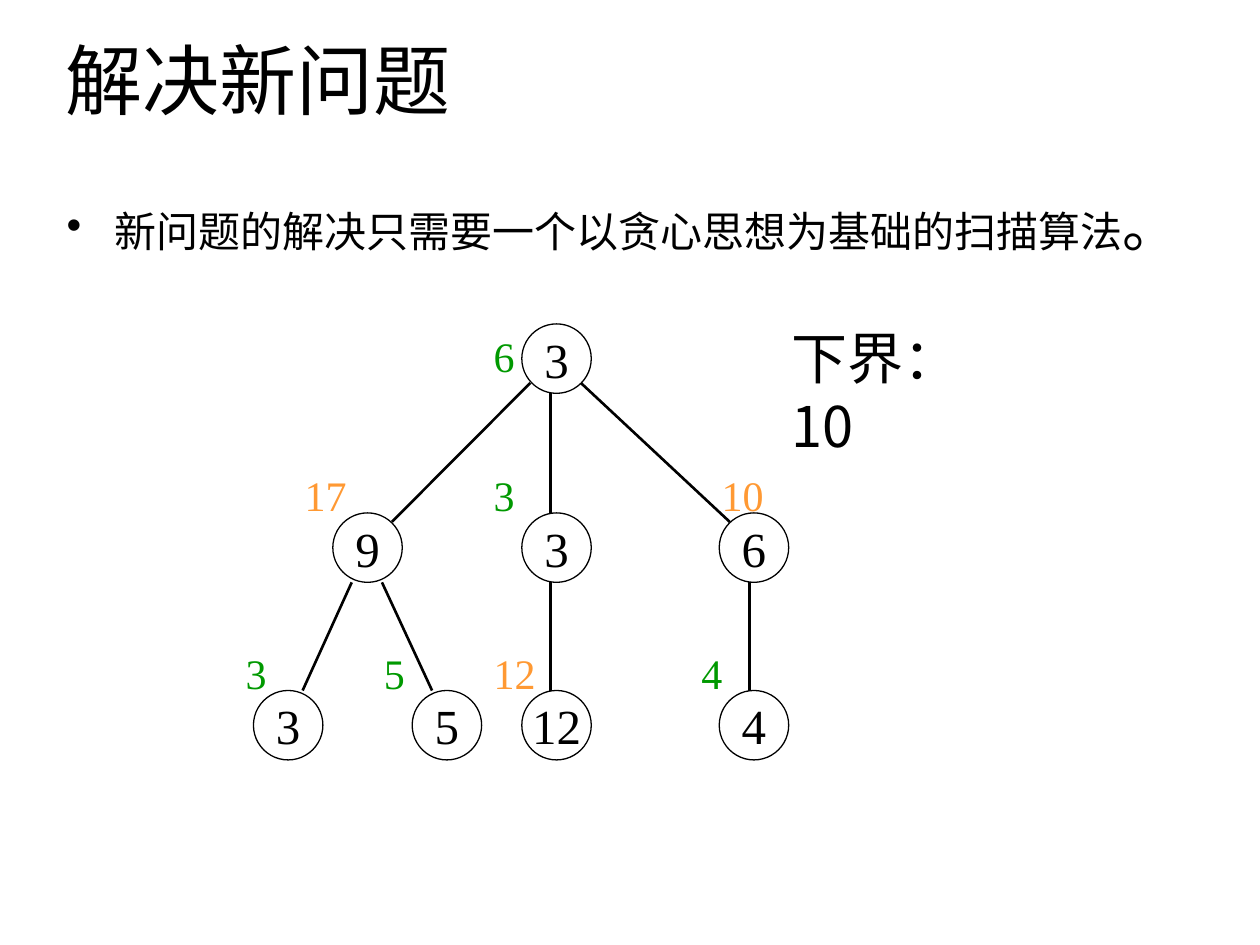
from dataclasses import dataclass

from lxml.etree import SubElement
from pptx import Presentation
from pptx.dml.color import RGBColor
from pptx.enum.shapes import MSO_CONNECTOR, MSO_SHAPE
from pptx.enum.text import MSO_ANCHOR, MSO_AUTO_SIZE, PP_ALIGN
from pptx.oxml.ns import qn
from pptx.util import Cm, Pt


@dataclass(frozen=True)
class Theme:
    """Colours, fonts and type sizes of the slide."""
    ink: str = "000000"
    low: str = "009900"
    high: str = "FF9933"
    han: str = "Noto Sans CJK SC"
    sans: str = "Arial"
    serif: str = "Times New Roman"
    head: float = 44
    large: float = 32
    node: float = 28
    small: float = 24


THEME = Theme()
SIDE = 1.4
ROWS = (0, 3.81, 7.39)
NODES = (
    ("3", 5.82, 0, "6", 5, THEME.low),
    ("9", 2.01, 1, "17", 1.19, THEME.high),
    ("3", 5.82, 1, "3", 5, THEME.low),
    ("6", 9.8, 1, "10", 9.6, THEME.high),
    ("3", 0.41, 2, "3", 0, THEME.low),
    ("5", 3.61, 2, "5", 2.79, THEME.low),
    ("12", 5.82, 2, "12", 5, THEME.high),
    ("4", 9.8, 2, "4", 9.19, THEME.low),
)
EDGES = (
    (6.4, 1.4, 6.4, 3.81),
    (5.99, 1.19, 3.2, 3.99),
    (7.01, 1.19, 10.01, 3.99),
    (2.39, 5.21, 1.4, 7.39),
    (3, 5.21, 4.01, 7.39),
    (6.4, 5.21, 6.4, 7.39),
    (10.41, 5.21, 10.41, 7.39),
)


def style(run, face, size, tint=THEME.ink):
    """Format one run, with the Han font for East Asian text."""
    run.font.name = face
    run.font.size = Pt(size)
    run.font.color.rgb = RGBColor.from_string(tint)
    SubElement(run.font._element, qn("a:ea"), typeface=THEME.han)


def place(shape, box):
    """Move a placeholder to a box given in centimetres."""
    shape.left, shape.top, shape.width, shape.height = map(Cm, box)
    shape.text_frame.auto_size = MSO_AUTO_SIZE.NONE


def add_head(slide, box):
    """Fill the title."""
    title = slide.shapes.title
    place(title, box)
    frame = title.text_frame
    frame.text = "解决新问题"
    frame.vertical_anchor = MSO_ANCHOR.MIDDLE
    para = frame.paragraphs[0]
    para.alignment = PP_ALIGN.LEFT
    style(para.runs[0], THEME.han, THEME.head)


def add_body(slide, box):
    """Fill the bullet list."""
    body = slide.placeholders[1]
    place(body, box)
    para = body.text_frame.paragraphs[0]
    para.space_before = Pt(0)
    props = para._p.get_or_add_pPr()
    props.set("marL", str(Cm(0.96)))
    props.set("indent", str(-Cm(0.96)))
    SubElement(props, qn("a:buChar"), char="•")
    parts = (("新问题的解决只需要一个以贪心思想为基础的扫描算法", THEME.small),
             ("。", THEME.large))
    for text, size in parts:
        run = para.add_run()
        run.text = text
        style(run, THEME.sans, size)


def add_text(slide, box, text, face, size, tint=THEME.ink, wrap=False):
    """Add a text box and return its paragraph."""
    frame = slide.shapes.add_textbox(*map(Cm, box)).text_frame
    frame.word_wrap = wrap
    frame.text = text
    para = frame.paragraphs[0]
    style(para.runs[0], face, size, tint)
    return para


def add_node(slide, left, top, text):
    """Draw a circle around its number."""
    node = slide.shapes.add_shape(
        MSO_SHAPE.OVAL, Cm(left), Cm(top), Cm(SIDE), Cm(SIDE))
    node.shadow.inherit = False
    node.fill.background()
    node.line.color.rgb = RGBColor.from_string(THEME.ink)
    node.line.width = Pt(0.75)
    frame = node.text_frame
    frame.margin_left = frame.margin_right = 0
    frame.margin_top = frame.margin_bottom = 0
    frame.word_wrap = False
    frame.vertical_anchor = MSO_ANCHOR.MIDDLE
    frame.text = text
    para = frame.paragraphs[0]
    para.alignment = PP_ALIGN.CENTER
    style(para.runs[0], THEME.serif, THEME.node)


def add_edge(slide, ends):
    """Draw a branch between two points."""
    edge = slide.shapes.add_connector(MSO_CONNECTOR.STRAIGHT, *map(Cm, ends))
    edge.line.color.rgb = RGBColor.from_string(THEME.ink)
    edge.line.width = Pt(1.5)
    SubElement(edge._element.spPr, qn("a:effectLst"))


def add_tree(slide, left, top):
    """Draw the tree with the cost beside each node."""
    for x1, y1, x2, y2 in EDGES:
        add_edge(slide, (left + x1, top + y1, left + x2, top + y2))
    for text, x, row, cost, side, tint in NODES:
        y = top + ROWS[row]
        add_node(slide, left + x, y, text)
        rise = 1 if row else 0
        add_text(slide, (left + side, y - rise, SIDE, 1.27), cost,
                 THEME.serif, THEME.small, tint)


def add_bound(slide, box):
    """Write the lower bound beside the tree."""
    para = add_text(slide, box, "下界：10", THEME.han, THEME.large, wrap=True)
    para.line_spacing = Pt(38.5)


def main():
    """Build the slide and save it."""
    deck = Presentation()
    deck.slide_width, deck.slide_height = Cm(25.4), Cm(19.05)
    slide = deck.slides.add_slide(deck.slide_layouts[1])
    add_head(slide, (1.07, 0, 23.5, 3.18))
    add_body(slide, (1.09, 3.73, 23.04, 1.8))
    add_tree(slide, 4.7, 6.53)
    add_bound(slide, (15.7, 6.4, 4.9, 2.97))
    deck.save("out.pptx")


if __name__ == "__main__":
    main()
